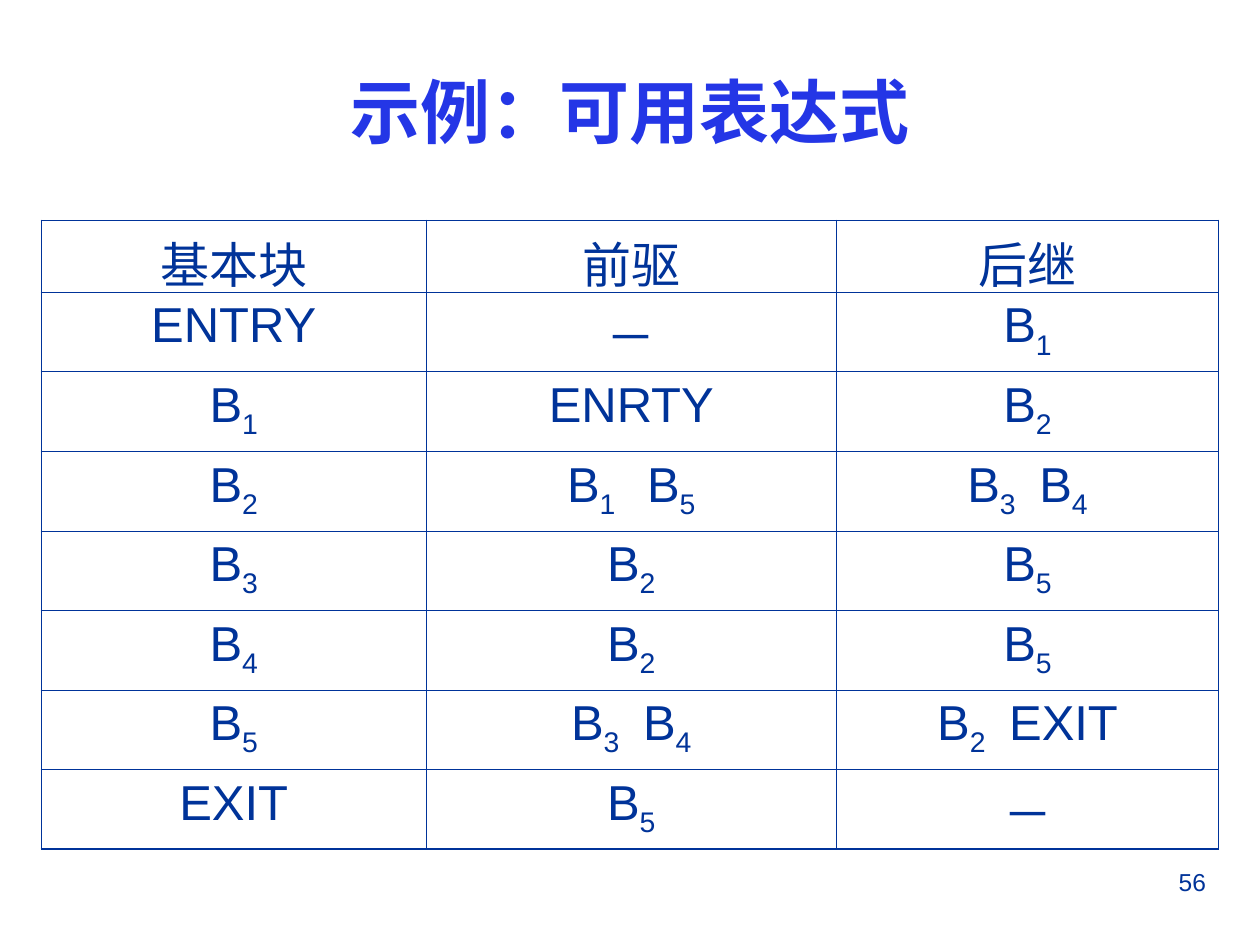
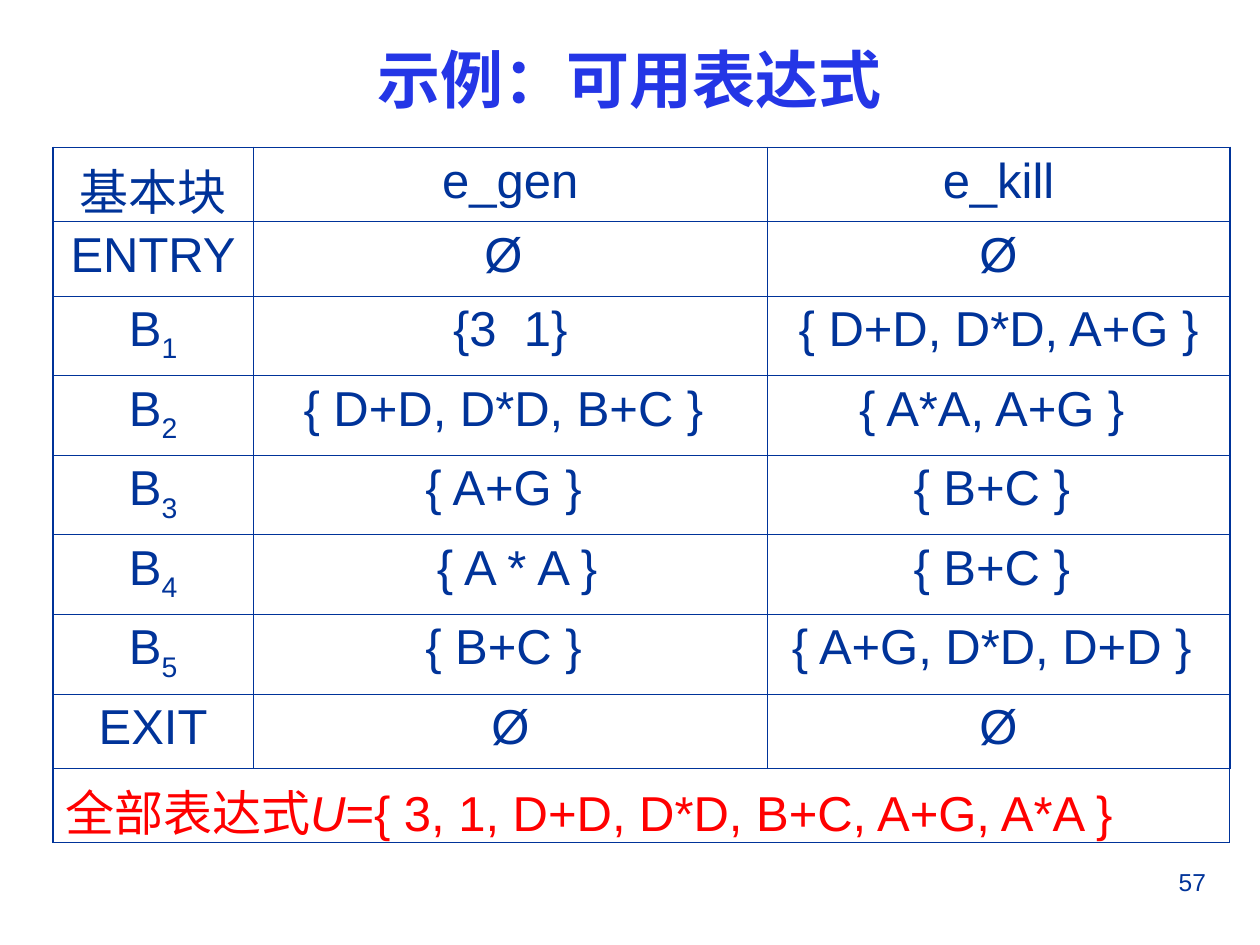
from lxml.etree import SubElement
from pptx import Presentation
from pptx.dml.color import RGBColor
from pptx.enum.lang import MSO_LANGUAGE_ID as Language
from pptx.enum.text import MSO_ANCHOR as Anchor, PP_ALIGN as Align
from pptx.oxml.ns import qn
from pptx.util import Inches, Pt

COLORS = {"title": "2436E6", "ink": "003399", "accent": "FF0000"}
FONT = "Arial"
OUTER_LINE, INNER_LINE = Pt(1.08), Pt(0.45)
TITLE = "示例：可用表达式"


# Text spans: a plain string, or a (text, options) pair
def block(number):
    """Basic block name with its number as a subscript."""
    return ["B", (str(number), {"sub": True})]


def gap(points):
    """A single small space widened by the given amount."""
    return [(" ", {"sub": True, "spacing": points})]


class SlideBuilder:
    def __init__(self, deck):
        self.deck = deck
        self.page = None

    def new_page(self, number, title_height, title_size):
        self.page = self.deck.slides.add_slide(self.deck.slide_layouts[6])
        self.text_box((7.17, 6.83, 2.5, 0.52), str(number), Align.RIGHT, size=14)
        self.text_box((0.33, 0.25, 9.34, title_height), TITLE, Align.CENTER,
                      Anchor.MIDDLE, size=title_size, color="title", bold=True)

    def text_box(self, area, text, align, anchor=Anchor.TOP, **style):
        frame = self.page.shapes.add_textbox(*map(Inches, area)).text_frame
        frame.word_wrap = True
        frame.vertical_anchor = anchor
        self.fill_para(frame.paragraphs[0], [text], align, **style)

    def fill_para(self, para, spans, align, **style):
        para.alignment = align
        for span in spans:
            text, options = (span, {}) if isinstance(span, str) else span
            self.add_span(para, text, **{**style, **options})

    def add_span(self, para, text, size=28, color="ink", bold=False,
                 italic=False, sub=False, spacing=0):
        span = para.add_run()
        span.text = text
        font = span.font
        font.name, font.size = FONT, Pt(size)
        font.bold, font.italic = bold, italic
        font.color.rgb = RGBColor.from_string(COLORS[color])
        font.language_id = Language.SIMPLIFIED_CHINESE
        properties = span._r.get_or_add_rPr()
        if sub:
            properties.set("baseline", "-25000")
        if spacing:
            properties.set("spc", str(round(spacing * 100)))

    def table(self, left, top, widths, heights, rows):
        table = self.page.shapes.add_table(
            len(heights), len(widths), Inches(left), Inches(top),
            Inches(sum(widths)), Inches(sum(heights))).table
        table.first_row = table.horz_banding = False
        for column, width in zip(table.columns, widths):
            column.width = Inches(width)
        for row, height in zip(table.rows, heights):
            row.height = Inches(height)
        last_row, last_column = len(heights) - 1, len(widths) - 1
        for r in range(len(heights)):
            for c in range(len(widths)):
                cell = table.cell(r, c)
                self.borders(cell, {"L": c == 0, "R": c == last_column,
                                    "T": r == 0, "B": r == last_row})
                cell.fill.background()
        for r, row in enumerate(rows):
            for c, spans in enumerate(row):
                self.fill_para(table.cell(r, c).text_frame.paragraphs[0],
                               spans, Align.CENTER)
        return table

    def borders(self, cell, outer_sides):
        properties = cell._tc.get_or_add_tcPr()
        for side, is_outer in outer_sides.items():
            width = OUTER_LINE if is_outer else INNER_LINE
            line = SubElement(properties, qn(f"a:ln{side}"), w=str(width))
            fill = SubElement(line, qn("a:solidFill"))
            SubElement(fill, qn("a:srgbClr"), val=COLORS["ink"])


def flow_page(builder):
    """Predecessors and successors of each basic block."""
    builder.new_page(56, title_height=1.25, title_size=40)
    builder.table(0.33, 1.75, [3.05, 3.26, 3.03], [0.57] + [0.63] * 7, [
        [["基本块"], ["前驱"], ["后继"]],
        [["ENTRY"], ["－"], block(1)],
        [block(1), ["ENRTY"], block(2)],
        [block(2), block(1) + gap(13.5) + block(5), block(3) + gap(9) + block(4)],
        [block(3), block(2), block(5)],
        [block(4), block(2), block(5)],
        [block(5), block(3) + gap(9) + block(4), block(2) + gap(9) + ["EXIT"]],
        [["EXIT"], block(5), ["－"]],
    ])


def gen_kill_page(builder):
    """Generated and killed expressions of each basic block."""
    builder.new_page(57, title_height=0.75, title_size=36)
    heights = [0.59] * 2 + [0.63] * 5 + [0.59] * 2
    table = builder.table(0.42, 1.17, [1.59, 4.08, 3.67], heights, [
        [["基本块"], ["e_gen"], ["e_kill"]],
        [["ENTRY"], ["Ø "], ["Ø"]],
        [block(1), ["{3", (" ", {"spacing": 7.8}), "1}"], ["{ D+D, D*D, A+G }"]],
        [block(2), ["{ D+D, D*D, B+C } "], ["{ A*A, A+G } "]],
        [block(3), ["{ A+G } "], ["{ B+C } "]],
        [block(4), [" { A * A }"], ["{ B+C } "]],
        [block(5), ["{ B+C } "], ["{ A+G, D*D, D+D } "]],
        [["EXIT"], ["Ø"], ["Ø"]],
    ])
    # Full-width row with the set of all expressions
    universe = table.cell(8, 0)
    universe.merge(table.cell(8, 2))
    builder.fill_para(
        universe.text_frame.paragraphs[0],
        ["全部表达式", ("U", {"italic": True}), "={ 3, 1, D+D, D*D, B+C, A+G, A*A }"],
        Align.LEFT, color="accent")


def main():
    deck = Presentation()
    deck.slide_width, deck.slide_height = Inches(10), Inches(7.5)
    builder = SlideBuilder(deck)
    flow_page(builder)
    gen_kill_page(builder)
    deck.save("out.pptx")


if __name__ == "__main__":
    main()
